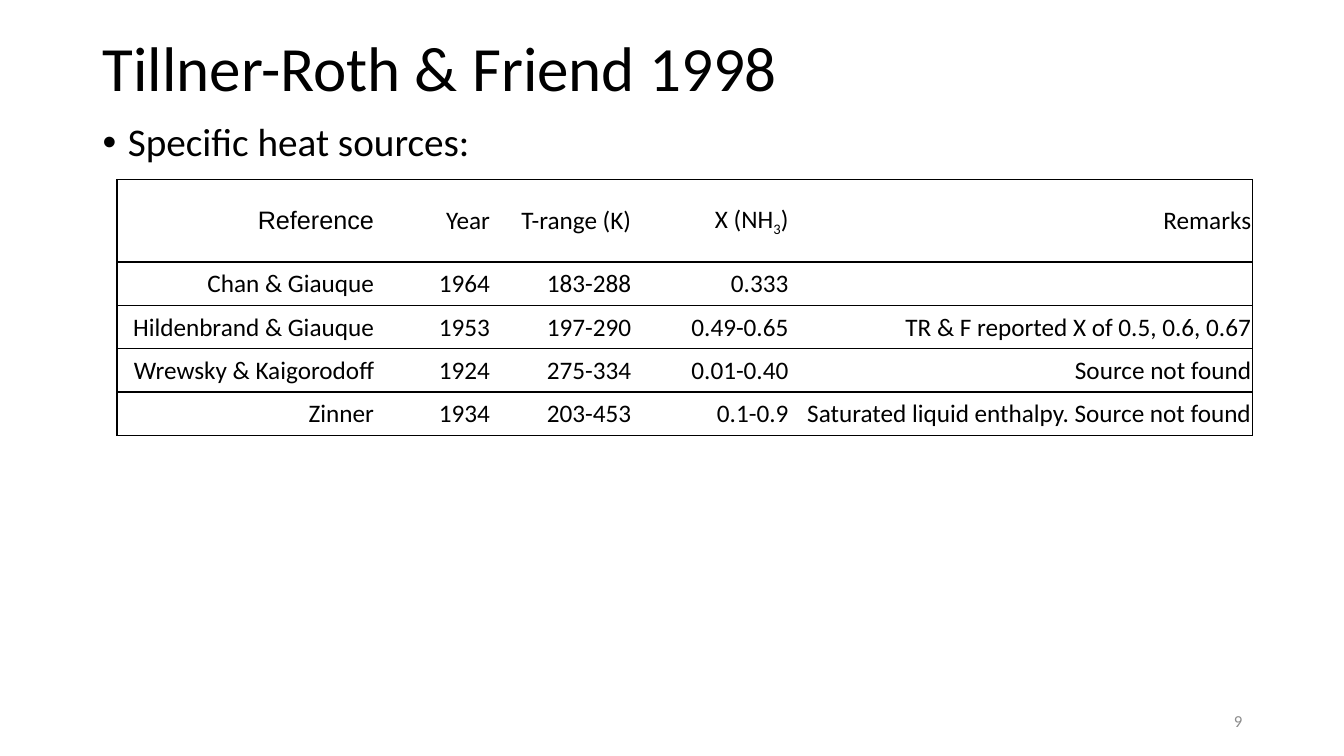
import pptx
import pptx.dml.color
import pptx.enum.text
import pptx.oxml
import pptx.oxml.ns
import pptx.util
from pptx.util import Inches

BLACK = pptx.dml.color.RGBColor(0, 0, 0)
WHITE = pptx.dml.color.RGBColor(255, 255, 255)
GRAY = pptx.dml.color.RGBColor(0x8C, 0x8C, 0x8C)
RIGHT = pptx.enum.text.PP_ALIGN.RIGHT
ANCHOR = pptx.enum.text.MSO_ANCHOR

deck = pptx.Presentation()
deck.slide_width, deck.slide_height = Inches(13.33), Inches(7.5)
slide = deck.slides.add_slide(deck.slide_layouts[6])


def style(para, size, color=BLACK, name="Calibri"):
    """Set size, colour and typeface of a whole paragraph."""
    para.font.size = pptx.util.Pt(size)
    para.font.color.rgb = color
    para.font.name = name


def add_text(text, box, size, anchor, color=BLACK):
    """Add a one-paragraph text box and return its paragraph."""
    frame = slide.shapes.add_textbox(*map(Inches, box)).text_frame
    frame.word_wrap = True
    frame.vertical_anchor = anchor
    para = frame.paragraphs[0]
    para.text = text
    style(para, size, color)
    return para


item = add_text("Specific heat sources:", (0.92, 1.17, 11.5, 5.58), 28, ANCHOR.TOP)
item.line_spacing = 0.9
item.space_before = pptx.util.Pt(10)
props = item._p.get_or_add_pPr()
props.set("marL", str(Inches(0.25)))
props.set("indent", str(Inches(-0.25)))
ns = pptx.oxml.ns.nsdecls("a")
marks = (f'<a:buFont {ns} typeface="Arial"/>', f'<a:buChar {ns} char="•"/>')
spot = props.index(props.find(pptx.oxml.ns.qn("a:defRPr")))
for step, mark in enumerate(marks):
    props.insert(spot + step, pptx.oxml.parse_xml(mark))

title = add_text("Tillner-Roth & Friend 1998", (0.92, 0.4, 11.5, 0.66), 45, ANCHOR.BOTTOM)
title.line_spacing = 0.7
number = add_text("9", (9.42, 6.95, 3, 0.4), 12, ANCHOR.MIDDLE, GRAY)
number.alignment = RIGHT

rows = [
    ("Reference", "Year", "T-range (K)", "X (NH3)", "Remarks"),
    ("Chan & Giauque", "1964", "183-288", "0.333", ""),
    ("Hildenbrand & Giauque", "1953", "197-290", "0.49-0.65",
     "TR & F reported X of 0.5, 0.6, 0.67"),
    ("Wrewsky & Kaigorodoff", "1924", "275-334", "0.01-0.40", "Source not found"),
    ("Zinner", "1934", "203-453", "0.1-0.9",
     "Saturated liquid enthalpy. Source not found"),
]
widths = (2.56, 1.15, 1.4, 1.56, 4.59)
heights = (0.82, 0.43, 0.43, 0.43, 0.43)
area = map(Inches, (1.16, 1.78, sum(widths), sum(heights)))
table = slide.shapes.add_table(len(rows), len(widths), *area).table
table.first_row = table.horz_banding = False
for column, width in zip(table.columns, widths):
    column.width = Inches(width)
for row, height in zip(table.rows, heights):
    row.height = Inches(height)

last = len(widths) - 1
for r, texts in enumerate(rows):
    for c, text in enumerate(texts):
        cell = table.cell(r, c)
        cell.fill.solid()
        cell.fill.fore_color.rgb = WHITE
        cell.vertical_anchor = ANCHOR.MIDDLE
        cell.margin_left = cell.margin_right = cell.margin_top = Inches(0.01)
        cell.margin_bottom = 0
        para = cell.text_frame.paragraphs[0]
        para.alignment = RIGHT
        style(para, 18, name="Arial" if r == c == 0 else "Calibri")
        if text == "X (NH3)":
            for part in ("X (NH", "3", ")"):
                run = para.add_run()
                run.text = part
                if part == "3":
                    run._r.get_or_add_rPr().set("baseline", "-25000")
        elif text:
            para.add_run().text = text
        drawn = {"L": c == 0, "R": c == last, "T": True, "B": True}
        for place, (side, shown) in enumerate(drawn.items()):
            paint = (f'<a:solidFill><a:srgbClr val="{BLACK}"/></a:solidFill>'
                     if shown else "<a:noFill/>")
            edge = f'<a:ln{side} {ns} w="{pptx.util.Pt(1)}">{paint}</a:ln{side}>'
            cell._tc.get_or_add_tcPr().insert(place, pptx.oxml.parse_xml(edge))

deck.save("out.pptx")
